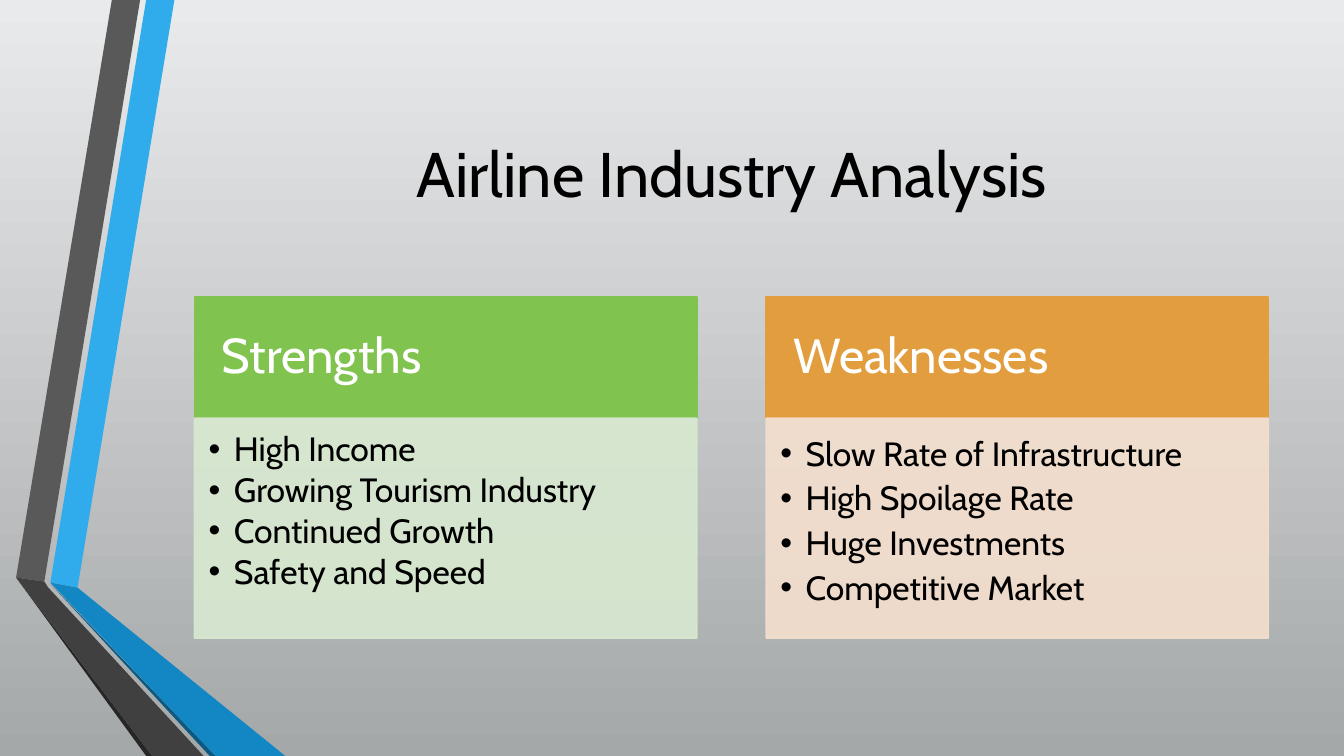
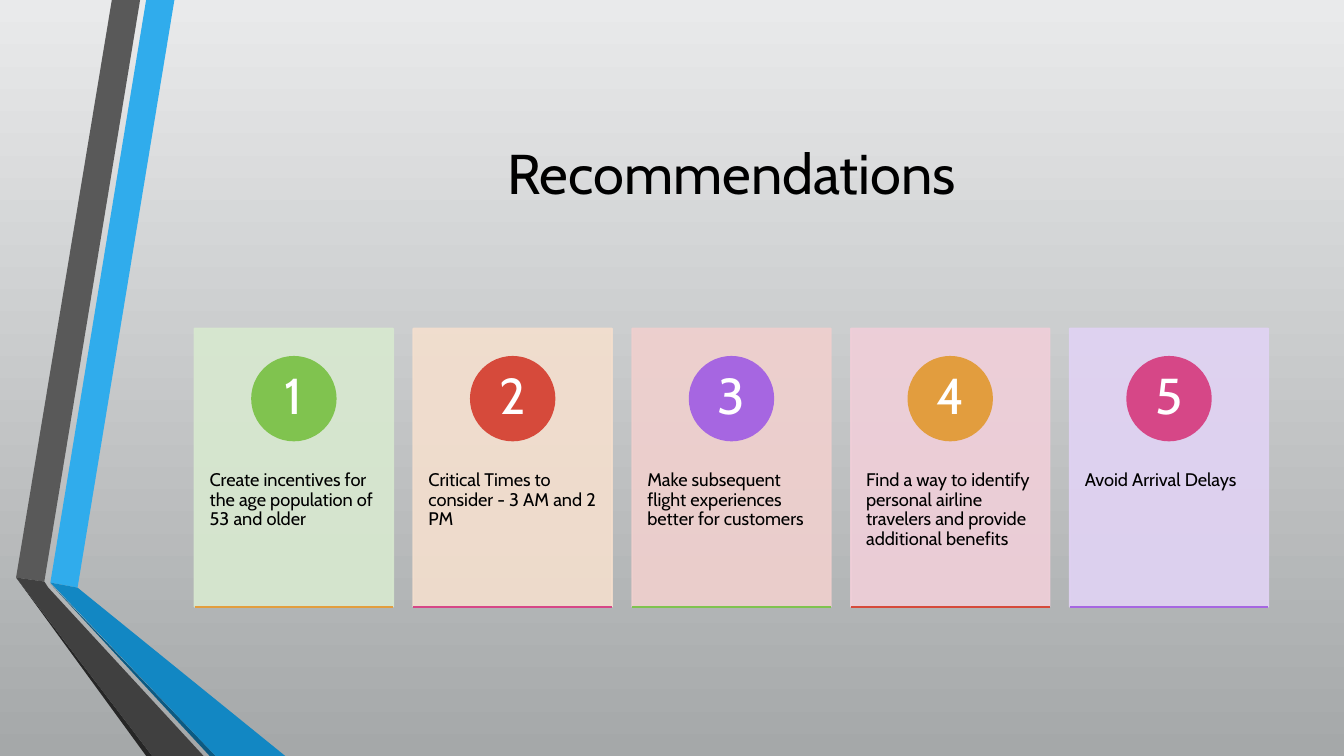
from lxml import etree
from pptx import Presentation
from pptx.dml.color import RGBColor
from pptx.enum.shapes import MSO_CONNECTOR, MSO_SHAPE
from pptx.enum.text import MSO_ANCHOR, PP_ALIGN
from pptx.oxml.ns import qn
from pptx.util import Pt

PX = 9144
RECT, OVAL = MSO_SHAPE.RECTANGLE, MSO_SHAPE.OVAL
STRAIGHT = MSO_CONNECTOR.STRAIGHT
TOP, MIDDLE = MSO_ANCHOR.TOP, MSO_ANCHOR.MIDDLE
LEFT, CENTER = PP_ALIGN.LEFT, PP_ALIGN.CENTER
FONT = "Cabin"

COLORS = {
    "black": "000000", "white": "FFFFFF",
    "bg_top": "E9EAEB", "bg_bottom": "A5A8A9",
    "blue": "30ACEC", "blue_mid": "1287C3", "blue_dark": "0C5A82",
    "gray": "595959", "gray_mid": "404040", "gray_dark": "262626",
    "green": "80C34F", "orange": "E29D3E", "red": "D64A3B",
    "purple": "A666E1", "pink": "D64787",
    "pale_green": "D8E9D0", "pale_orange": "F4DFCE", "pale_red": "F0D0CE",
    "pale_pink": "F0CFD9", "pale_purple": "E1D3F4",
}
RGB = {name: RGBColor.from_string(value) for name, value in COLORS.items()}

BANDS = [
    ("blue", [(50, 578), (77, 583), (173, 0), (145, 0)]),
    ("gray", [(139, 0), (111, 0), (16, 573), (44, 577)]),
    ("gray_dark", [(16, 573), (145, 750), (151, 750)]),
    ("blue_dark", [(50, 579), (208, 750), (214, 750)]),
    ("blue_mid", [(50, 578), (214, 750), (283, 750), (77, 583)]),
    ("gray_mid", [(202, 750), (48, 583), (44, 577), (16, 573), (151, 750)]),
]

TITLE = {"anchor": MIDDLE, "margins": (10, 5, 10, 5), "color": "black",
         "para": {"alignment": CENTER}}
HEADER = {"anchor": MIDDLE, "margins": (27, 16, 27, 16), "size": 35, "color": "white",
          "para": {"alignment": LEFT, "line_spacing": 0.9}}
BULLETS = {"anchor": TOP, "margins": (14, 14, 19, 21), "size": 24, "color": "black",
           "bullet": True, "para": {"alignment": LEFT, "space_after": Pt(3.3)}}
CARD = {"anchor": TOP, "margins": (15, 141, 15, 36), "size": 13, "color": "black",
        "para": {"alignment": LEFT, "line_spacing": 0.9}}
NUMBER = {"anchor": MIDDLE, "margins": (0, 0, 0, 0), "size": 36, "color": "white",
          "para": {"alignment": CENTER, "line_spacing": 0.9}}


def add_box(s, kind, box, color, alpha=None):
    sp = s.shapes.add_shape(kind, *(v * PX for v in box))
    sp.shadow.inherit = False
    sp.fill.solid()
    sp.fill.fore_color.rgb = RGB[color]
    sp.line.color.rgb = RGB[color]
    sp.line.width = Pt(1.25)
    if alpha:
        for clr in sp._element.spPr.iter(qn("a:srgbClr")):
            etree.SubElement(clr, qn("a:alpha"), val=str(alpha * 1000))
    return sp


def write(sp, lines, fmt):
    tf = sp.text_frame
    tf.word_wrap = True
    tf.vertical_anchor = fmt["anchor"]
    for side, margin in zip(("left", "top", "right", "bottom"), fmt["margins"]):
        setattr(tf, f"margin_{side}", margin * PX)
    for i, line in enumerate(lines):
        p = tf.add_paragraph() if i else tf.paragraphs[0]
        if fmt.get("bullet"):
            pPr = p._p.get_or_add_pPr()
            pPr.set("marL", str(25 * PX))
            pPr.set("indent", str(-25 * PX))
            etree.SubElement(pPr, qn("a:buFont"), typeface="Arial")
            etree.SubElement(pPr, qn("a:buChar"), char="•")
        for name, value in fmt["para"].items():
            setattr(p, name, value)
        r = p.add_run()
        r.text = line
        for name, value in {"name": FONT, "size": Pt(fmt["size"])}.items():
            setattr(r.font, name, value)
        r.font.color.rgb = RGB[fmt["color"]]


prs = Presentation()
prs.slide_width, prs.slide_height = 1333 * PX, 750 * PX

bg = prs.slide_master.background.fill
bg.gradient()
bg.gradient_angle = 270
for stop, name, position in zip(bg.gradient_stops, ("bg_top", "bg_bottom"), (0, 1)):
    stop.color.rgb = RGB[name]
    stop.position = position

slides = []
for title, size in (("Airline Industry Analysis", 45), ("Recommendations", 40)):
    s = prs.slides.add_slide(prs.slide_layouts[6])
    for color, points in BANDS:
        outline = s.shapes.build_freeform(*points[0], scale=PX)
        outline.add_line_segments(points[1:], close=True)
        sp = outline.convert_to_shape()
        sp.shadow.inherit = False
        sp.fill.solid()
        sp.fill.fore_color.rgb = RGB[color]
        sp.line.fill.background()
    tb = s.shapes.add_textbox(193 * PX, 75 * PX, 1065 * PX, 192 * PX)
    write(tb, [title], {**TITLE, "size": size})
    slides.append(s)
analysis, recommendations = slides

COLUMNS = [
    ("Strengths", "green", "pale_green", 0.9,
     ["High Income", "Growing Tourism Industry", "Continued Growth", "Safety and Speed"]),
    ("Weaknesses", "orange", "pale_orange", 1.0,
     ["Slow Rate of Infrastructure", "High Spoilage Rate", "Huge Investments",
      "Competitive Market"]),
]
for i, (heading, color, pale, spacing, items) in enumerate(COLUMNS):
    x = 193 + i * 567
    write(add_box(analysis, RECT, (x, 295, 498, 120), color), [heading], HEADER)
    body = add_box(analysis, RECT, (x, 415, 498, 218), pale, 90)
    write(body, items, {**BULLETS, "para": {**BULLETS["para"], "line_spacing": spacing}})

CARDS = [
    ("Create incentives for the age population of 53 and older",
     "pale_green", "green", "orange"),
    ("Critical Times to consider - 3 AM and 2 PM", "pale_orange", "red", "pink"),
    ("Make subsequent flight experiences better for customers",
     "pale_red", "purple", "green"),
    ("Find a way to identify personal airline travelers and provide additional benefits",
     "pale_pink", "orange", "red"),
    ("Avoid Arrival Delays", "pale_purple", "pink", "purple"),
]
for i, (text, pale, circle, rule) in enumerate(CARDS):
    x = 193 + i * 217
    write(add_box(recommendations, RECT, (x, 326, 197, 276), pale, 90), [text], CARD)
    write(add_box(recommendations, OVAL, (x + 57, 354, 83, 83), circle), [str(i + 1)], NUMBER)
    line = recommendations.shapes.add_connector(
        STRAIGHT, x * PX, 602 * PX, (x + 197) * PX, 602 * PX)
    line.line.color.rgb = RGB[rule]
    line.line.width = Pt(1.25)
    etree.SubElement(line._element.spPr, qn("a:effectLst"))

prs.save("out.pptx")
